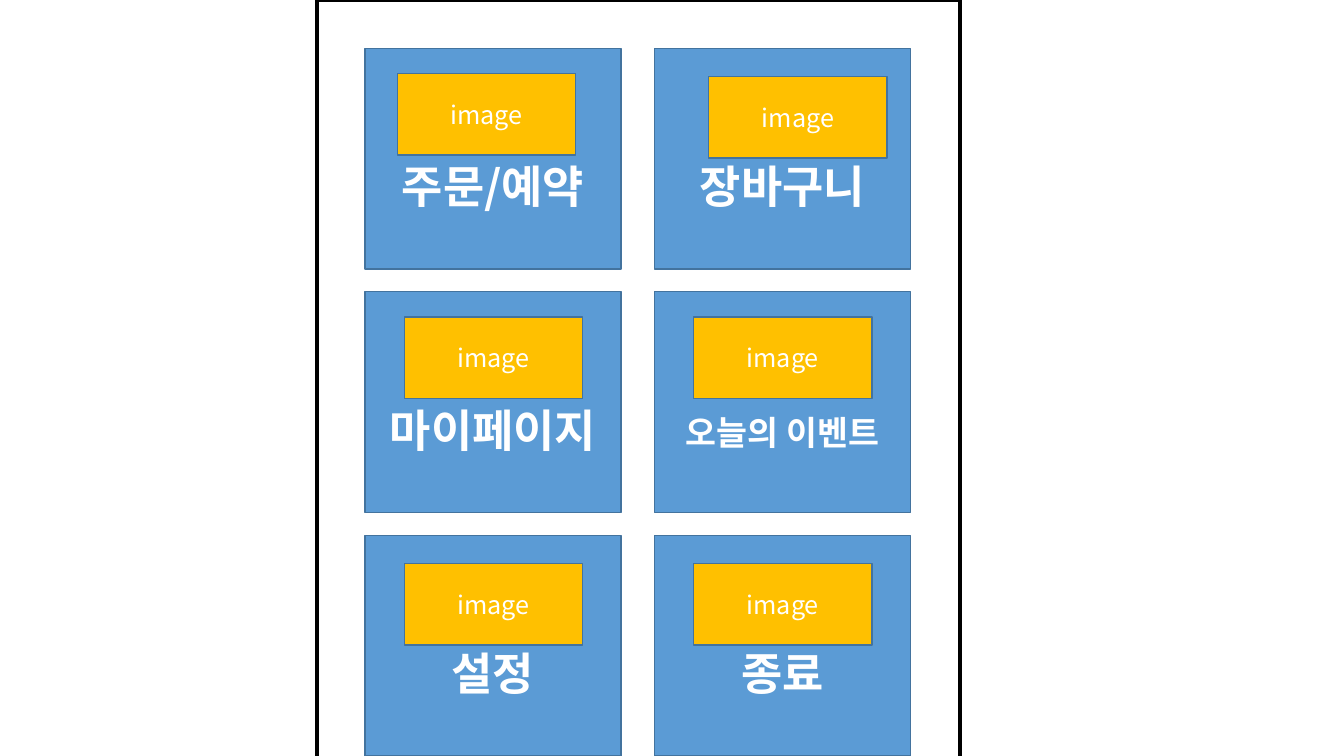
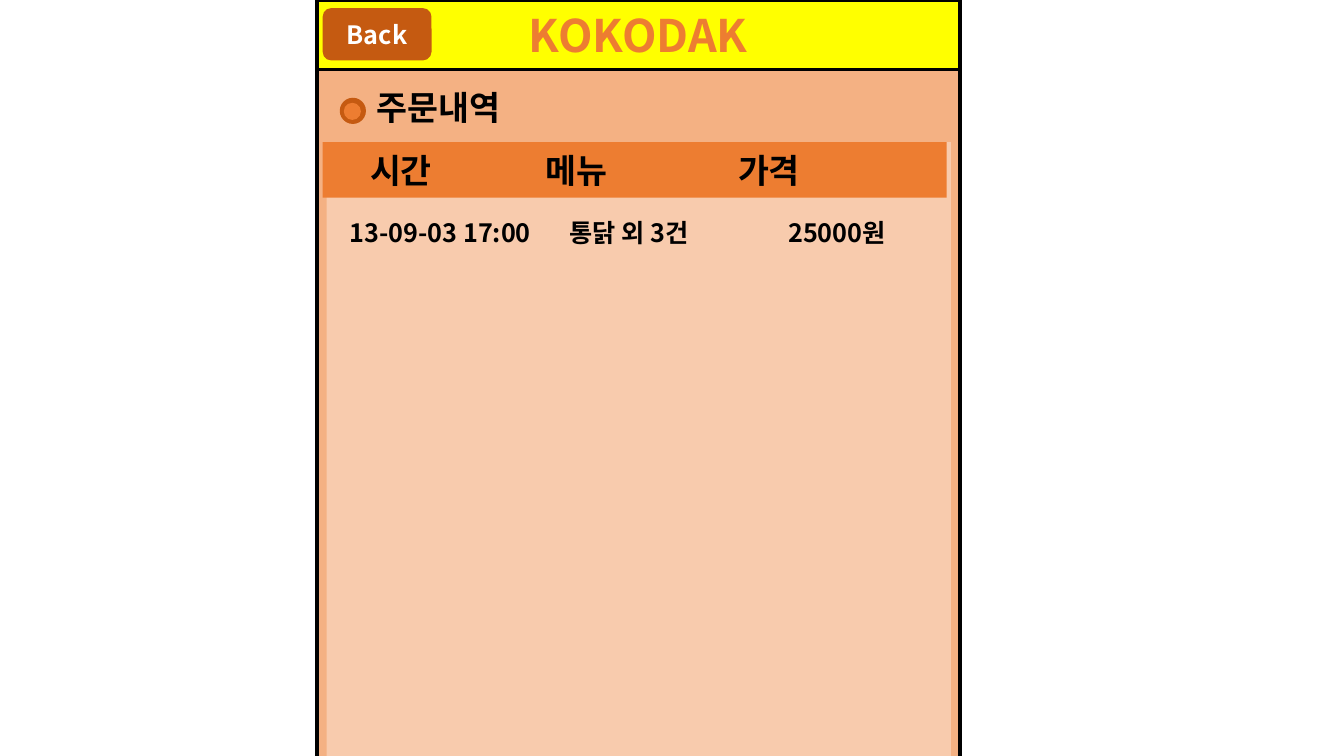
from dataclasses import dataclass

from lxml import etree
from pptx import Presentation
from pptx import util as u
from pptx.dml.color import RGBColor
from pptx.enum import shapes, text
from pptx.oxml.ns import qn


@dataclass(frozen=True)
class Theme:
    font: str = "Noto Sans CJK KR"
    # colours
    black: str = "000000"
    white: str = "FFFFFF"
    tile: str = "5B9BD5"
    tile_edge: str = "43739E"
    image: str = "FFC000"
    title_band: str = "FFFF00"
    orange: str = "ED7D31"
    dark_orange: str = "C55A11"
    screen: str = "F4B183"
    panel: str = "F8CBAD"
    # type sizes and line widths, in points
    title: int = 32
    heading: int = 24
    body: int = 18
    frame_line: float = 2.75
    tile_line: float = 1


THEME = Theme()
KIND = shapes.MSO_SHAPE
SLIDE_W, SLIDE_H = 13.33, 7.5
FRAME_LEFT, FRAME_W, FRAME_H = 3.14, 6.38, 7.96
FRAME_EDGE = (THEME.black, THEME.frame_line)
TILE_EDGE = (THEME.tile_edge, THEME.tile_line)

# Menu tiles: two columns, with the last row on the slide's bottom edge
TILE_LEFT, TILE_TOP, TILE_W, TILE_H = 3.62, 0.48, 2.54, 2.19
COLUMN_PITCH = 2.87
ROW_PITCH = (SLIDE_H - TILE_H - TILE_TOP) / 2
IMAGE_W, IMAGE_H = 1.77, 0.81
# Top inset that drops a label below its image, by type size
LABEL_DROP = {THEME.title: 0.59, THEME.heading: 0.65}

# Label, its size, and the image's offset within the tile
MENU = [
    ("주문/예약", THEME.title, 0.32, 0.25),
    ("장바구니", THEME.title, 0.54, 0.28),
    ("마이페이지", THEME.title, 0.39, 0.25),
    ("오늘의 이벤트", THEME.heading, 0.39, 0.25),
    ("설정", THEME.title, 0.39, 0.28),
    ("종료", THEME.title, 0.39, 0.28),
]


def lengths(*values):
    return [u.Inches(value) for value in values]


def apply_format(target, formats):
    for name, value in formats.items():
        setattr(target, name, value)


def write(holder, words, size, color, bold=True, centred=True, tabs=(), **frame_format):
    """Put one formatted paragraph in a shape or text box."""
    frame = holder.text_frame
    apply_format(frame, {"word_wrap": True, **frame_format})
    paragraph = frame.paragraphs[0]
    paragraph.alignment = text.PP_ALIGN.CENTER if centred else text.PP_ALIGN.LEFT
    run = paragraph.add_run()
    run.text = words
    apply_format(run.font, {"name": THEME.font, "size": u.Pt(size), "bold": bold})
    run.font.color.rgb = RGBColor.from_string(color)
    # East Asian typeface, for the Korean letters
    latin = run.font._element.find(qn("a:latin"))
    latin.addnext(etree.Element(qn("a:ea"), typeface=THEME.font))
    if tabs:
        tab_list = etree.SubElement(paragraph._p.get_or_add_pPr(), qn("a:tabLst"))
        for position in tabs:
            etree.SubElement(tab_list, qn("a:tab"), pos=str(u.Inches(position)), algn="l")


def add_box(parent, place, fill=None, edge=None, kind=KIND.RECTANGLE):
    """Draw a flat preset shape; edge is a colour and a width."""
    box = parent.shapes.add_shape(kind, *lengths(*place))
    box.shadow.inherit = False
    if fill:
        box.fill.solid()
        box.fill.fore_color.rgb = RGBColor.from_string(fill)
    else:
        box.fill.background()
    if edge:
        color, width = edge
        box.line.color.rgb = RGBColor.from_string(color)
        box.line.width = u.Pt(width)
    else:
        box.line.fill.background()
    return box


def add_text(slide, place, words, size, **options):
    box = slide.shapes.add_textbox(*lengths(*place))
    write(box, words, size, THEME.black, centred=False,
          auto_size=text.MSO_AUTO_SIZE.SHAPE_TO_FIT_TEXT, **options)


def add_screen(deck, fill=None):
    """Start a slide with the phone frame that all screens share."""
    slide = deck.slides.add_slide(deck.slide_layouts[6])
    add_box(slide, (FRAME_LEFT, 0, FRAME_W, FRAME_H), fill, FRAME_EDGE)
    return slide


def add_menu_tile(slide, left, top, label, size, image_dx, image_dy):
    tile = add_box(slide, (left, top, TILE_W, TILE_H), THEME.tile, TILE_EDGE)
    write(tile, label, size, THEME.white, margin_top=u.Inches(LABEL_DROP[size]))
    image = add_box(slide, (left + image_dx, top + image_dy, IMAGE_W, IMAGE_H),
                    THEME.image, TILE_EDGE)
    write(image, "image", THEME.body, THEME.white, bold=False)


def build_menu(deck):
    slide = add_screen(deck)
    for index, item in enumerate(MENU):
        row, column = divmod(index, 2)
        add_menu_tile(slide, TILE_LEFT + column * COLUMN_PITCH,
                      TILE_TOP + row * ROW_PITCH, *item)


def build_orders(deck):
    slide = add_screen(deck, THEME.screen)

    # Title band and back button
    band = add_box(slide, (FRAME_LEFT, 0, FRAME_W, 0.69), THEME.title_band, FRAME_EDGE)
    write(band, "KOKODAK", THEME.title, THEME.orange)
    back = add_box(slide, (3.2, 0.08, 1.08, 0.52), THEME.dark_orange,
                   kind=KIND.ROUNDED_RECTANGLE)
    write(back, "Back", THEME.body, THEME.white)

    # Section heading with a ringed bullet
    bullet = slide.shapes.add_group_shape()
    for place, fill in (((3.37, 0.97, 0.26, 0.26), THEME.dark_orange),
                        ((3.41, 1.02, 0.17, 0.17), THEME.orange)):
        add_box(bullet, place, fill, kind=KIND.OVAL)
    add_text(slide, (3.64, 0.81, 3.56, 0.5), "주문내역", THEME.heading)

    # Order list
    add_box(slide, (3.24, 1.41, 6.19, 6.38), THEME.panel)
    add_text(slide, (3.37, 2.11, 5.97, 0.4), "13-09-03 17:00\t통닭 외 3건\t25000원",
             THEME.body, tabs=(2.18, 4.35))
    header = add_box(slide, (3.2, 1.41, 6.19, 0.55), THEME.orange)
    write(header, "시간\t메뉴\t가격", THEME.heading, THEME.black, centred=False,
          tabs=(1.74, 3.65), margin_left=u.Inches(0.47))


def main():
    deck = Presentation()
    apply_format(deck, {"slide_width": u.Inches(SLIDE_W), "slide_height": u.Inches(SLIDE_H)})
    build_menu(deck)
    build_orders(deck)
    deck.save("out.pptx")


if __name__ == "__main__":
    main()
